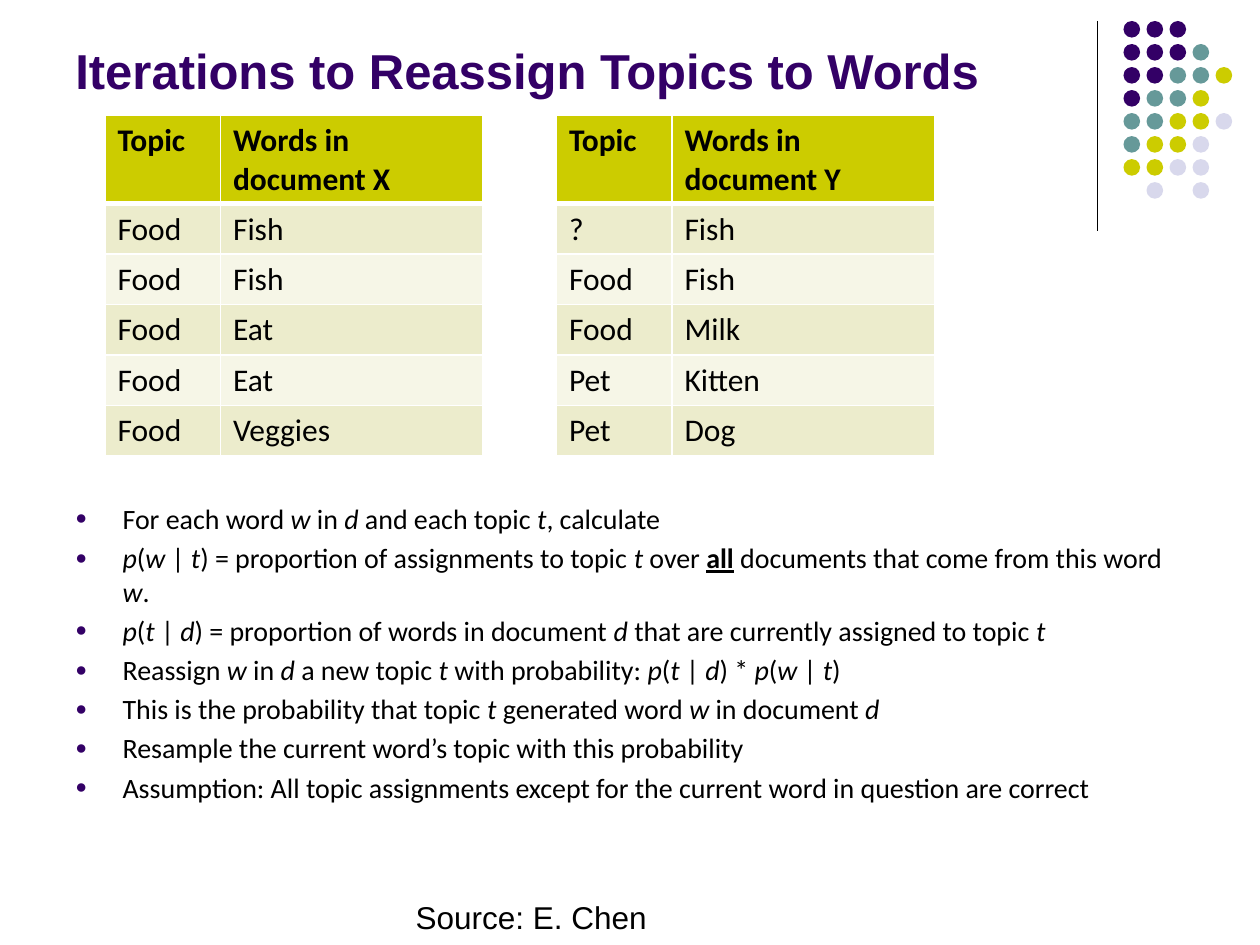
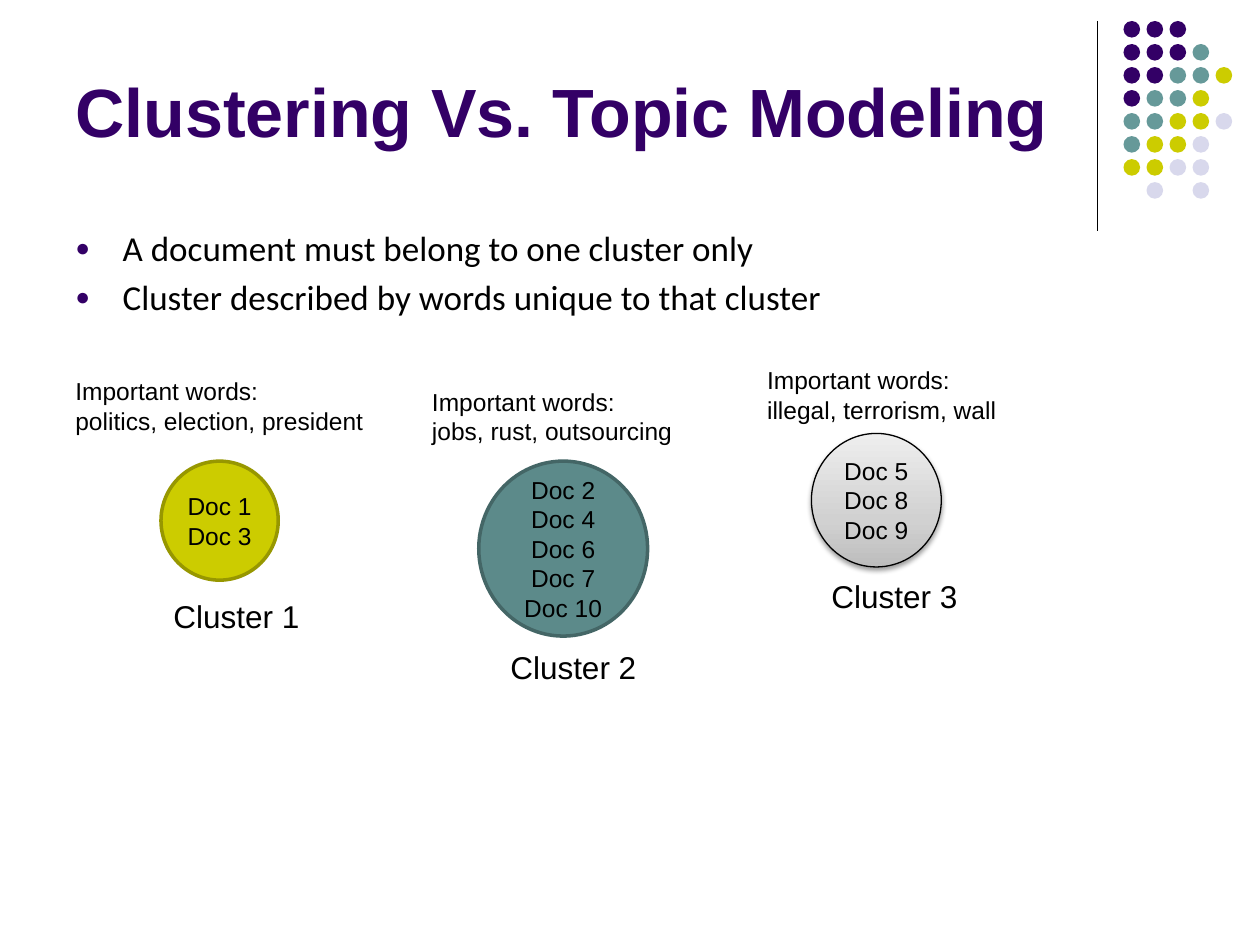
"""Build two slides: topic reassignment and clustering."""
import pptx
import pptx.dml.color
import pptx.enum.dml
import pptx.enum.shapes
import pptx.enum.text
import pptx.oxml
import pptx.oxml.ns
import pptx.util

Pt = pptx.util.Pt
RGB = pptx.dml.color.RGBColor
OVAL = pptx.enum.shapes.MSO_SHAPE.OVAL
ANCHOR = pptx.enum.text.MSO_ANCHOR
ALIGN = pptx.enum.text.PP_ALIGN

PURPLE = RGB(0x33, 0x00, 0x66)
TEAL = RGB(0x66, 0x99, 0x99)
OLIVE = RGB(0xCC, 0xCC, 0x00)
LILAC = RGB(0xD8, 0xD8, 0xEC)
BLACK = RGB(0x00, 0x00, 0x00)
WHITE = RGB(0xFF, 0xFF, 0xFF)
BAND_DARK = RGB(0xEC, 0xEC, 0xCC)
BAND_LIGHT = RGB(0xF6, 0xF6, 0xE7)
OLIVE_EDGE = RGB(0x97, 0x97, 0x00)
DEEP_TEAL = RGB(0x5C, 0x8A, 0x8A)
TEAL_EDGE = RGB(0x44, 0x66, 0x66)
GREY_STOPS = [(0, RGB(0xBD, 0xBD, 0xBD)), (35, RGB(0xD1, 0xD1, 0xD1)),
              (100, RGB(0xEE, 0xEE, 0xEE))]

HEAD_FONT, BODY_FONT = "Arial", "Calibri"
DOT_COLOURS = {"P": PURPLE, "T": TEAL, "O": OLIVE, "L": LILAC}
DOT_ROWS = ["PPP", "PPPT", "PPTTO", "PTTO", "TTOOL", "TOOL", "OOLL", " L L"]
DOT_SIZE, DOT_PITCH = 9.5, 13.15


def xml(markup):
    """Parse one DrawingML element written without its namespace."""
    ns = pptx.oxml.ns.nsdecls("a")
    head, rest = markup.split(">", 1)
    if head.endswith("/"):
        return pptx.oxml.parse_xml(f"{head[:-1]} {ns}/>{rest}")
    return pptx.oxml.parse_xml(f"{head} {ns}>{rest}")


class Deck:
    """Holds the presentation, its style and the current slide."""

    def __init__(self):
        """Start an empty 10 by 7.5 inch presentation."""
        self.prs = pptx.Presentation()
        self.prs.slide_width, self.prs.slide_height = Pt(720), Pt(540)
        self.s = None

    def slide(self, title, size, top):
        """Add a slide with the corner decoration and a title."""
        self.s = self.prs.slides.add_slide(self.prs.slide_layouts[6])
        self.decoration()
        tf = self.box(36, top, 594, 102.24)
        tf.vertical_anchor = ANCHOR.BOTTOM
        self.runs(tf.paragraphs[0], title, size, HEAD_FONT, PURPLE, True)

    def decoration(self):
        """Draw the vertical rule and the dot pattern."""
        kind = pptx.enum.shapes.MSO_CONNECTOR.STRAIGHT
        rule = self.s.shapes.add_connector(
            kind, Pt(627), Pt(12), Pt(627), Pt(132))
        rule.line.color.rgb, rule.line.width = BLACK, Pt(0.75)
        rule._element.spPr.append(xml("<a:effectLst/>"))
        dots = self.s.shapes.add_group_shape().shapes
        for row, letters in enumerate(DOT_ROWS):
            for col, letter in enumerate(letters):
                if letter in DOT_COLOURS:
                    dot = dots.add_shape(
                        OVAL, Pt(642 + col * DOT_PITCH),
                        Pt(12 + row * DOT_PITCH), Pt(DOT_SIZE), Pt(DOT_SIZE))
                    dot.shadow.inherit = False
                    dot.fill.solid()
                    dot.fill.fore_color.rgb = DOT_COLOURS[letter]
                    dot.line.fill.background()

    def runs(self, p, text, size, font, colour=BLACK, bold=False):
        """Add runs; _x_ is italic and ^x^ is bold and underlined."""
        for i, piece in enumerate(text.split("_")):
            for j, part in enumerate(piece.split("^")):
                if not part:
                    continue
                r = p.add_run()
                r.text = part
                r.font.size, r.font.name = Pt(size), font
                r.font.color.rgb = colour
                r.font.bold = bold or j % 2 == 1
                r.font.italic = i % 2 == 1
                r.font.underline = j % 2 == 1

    def lines(self, tf, texts, size, font):
        """Write one paragraph per text and return the paragraphs."""
        for i, text in enumerate(texts):
            p = tf.add_paragraph() if i else tf.paragraphs[0]
            self.runs(p, text, size, font)
        return tf.paragraphs

    def box(self, x, y, w, h):
        """Add a wrapping text box and return its text frame."""
        tf = self.s.shapes.add_textbox(Pt(x), Pt(y), Pt(w), Pt(h)).text_frame
        tf.word_wrap = True
        return tf

    def label(self, x, y, w, h, texts, size):
        """Add a text box that fits its unwrapped text."""
        tf = self.box(x, y, w, h)
        tf.word_wrap = False
        tf.auto_size = pptx.enum.text.MSO_AUTO_SIZE.SHAPE_TO_FIT_TEXT
        self.lines(tf, texts, size, HEAD_FONT)

    def bullets(self, top, texts, size):
        """Add the bulleted body text."""
        tf = self.box(36, top, 648, 347)
        for p in self.lines(tf, texts, size, BODY_FONT):
            pPr = p._p.get_or_add_pPr()
            pPr.set("marL", str(Pt(27)))
            pPr.set("indent", str(-Pt(27)))
            for markup in (
                    '<a:spcBef><a:spcPct val="20000"/></a:spcBef>',
                    f'<a:buClr><a:srgbClr val="{PURPLE}"/></a:buClr>',
                    '<a:buSzPct val="70000"/>',
                    f'<a:buFont typeface="{HEAD_FONT}"/>',
                    '<a:buChar char="●"/>'):
                pPr.append(xml(markup))

    def table(self, x, rows):
        """Add a two-column table with a header row and bands."""
        frame = self.s.shapes.add_table(
            len(rows), 2, Pt(x), Pt(66), Pt(216), Pt(194.4))
        tbl = frame.table
        tbl.horz_banding = False
        tbl.columns[0].width, tbl.columns[1].width = Pt(66), Pt(150)
        for i, texts in enumerate(rows):
            tbl.rows[i].height = Pt(24 if i else 42)
            fill = (BAND_DARK if i % 2 else BAND_LIGHT) if i else OLIVE
            for cell, text in zip(tbl.rows[i].cells, texts):
                cell.fill.solid()
                cell.fill.fore_color.rgb = fill
                self.runs(cell.text_frame.paragraphs[0], text, 18,
                          BODY_FONT, bold=i == 0)
                self.borders(cell, header=i == 0)
        frame.height = Pt(194.4)

    def borders(self, cell, header):
        """Give a cell white borders, thick below the header."""
        widths = {"L": 1, "R": 1, "T": 1, "B": 3} if header else {
            "L": 1, "R": 1, "B": 1}
        tcPr = cell._tc.get_or_add_tcPr()
        for i, (side, width) in enumerate(widths.items()):
            tcPr.insert(i, xml(
                f'<a:ln{side} w="{Pt(width)}"><a:solidFill>'
                f'<a:srgbClr val="{WHITE}"/></a:solidFill></a:ln{side}>'))

    def circle(self, x, y, w, h, texts, fill, edge, width):
        """Add a cluster circle; without a fill it is shaded grey."""
        sp = self.s.shapes.add_shape(OVAL, Pt(x), Pt(y), Pt(w), Pt(h))
        sp.shadow.inherit = False
        if fill is None:
            self.shade(sp)
        else:
            sp.fill.solid()
            sp.fill.fore_color.rgb = fill
        sp.line.color.rgb, sp.line.width = edge, Pt(width)
        tf = sp.text_frame
        tf.word_wrap = False
        tf.vertical_anchor = ANCHOR.MIDDLE
        tf.margin_left = tf.margin_right = Pt(5)
        tf.margin_top = tf.margin_bottom = Pt(3)
        for p in self.lines(tf, texts, 14, HEAD_FONT):
            p.alignment = ALIGN.CENTER

    def shade(self, sp):
        """Give a shape the grey gradient and a soft shadow."""
        sp.fill.gradient()
        sp.fill.gradient_angle = 90
        spPr = sp._element.spPr
        stops = spPr.find(".//" + pptx.oxml.ns.qn("a:gsLst"))
        for old in list(stops):
            stops.remove(old)
        for pos, colour in GREY_STOPS:
            stops.append(xml(f'<a:gs pos="{pos * 1000}">'
                             f'<a:srgbClr val="{colour}"/></a:gs>'))
        spPr.find(pptx.oxml.ns.qn("a:effectLst")).append(xml(
            f'<a:outerShdw blurRad="{Pt(3.1)}" dist="{Pt(1.6)}" '
            f'dir="5400000" rotWithShape="0"><a:srgbClr val="{BLACK}">'
            '<a:alpha val="38000"/></a:srgbClr></a:outerShdw>'))


deck = Deck()

deck.slide("Iterations to Reassign Topics to Words", 28, -41.76)
deck.bullets(283, [
    "For each word _w_ in _d_ and each topic _t_, calculate",
    "_p_(_w_ | _t_) = proportion of assignments to topic _t_ over ^all^ "
    "documents that come from this word _w_.",
    "_p_(_t_ | _d_) = proportion of words in document _d_ that are "
    "currently assigned to topic _t_",
    "Reassign _w_ in _d_ a new topic _t_ with probability: "
    "_p_(_t_ | _d_) * _p_(_w_ | _t_)",
    "This is the probability that topic _t_ generated word _w_ "
    "in document _d_",
    "Resample the current word’s topic with this probability",
    "Assumption: All topic assignments except for the current word "
    "in question are correct",
], 16)
deck.table(60, [
    ("Topic", "Words in document X"), ("Food", "Fish"), ("Food", "Fish"),
    ("Food", "Eat"), ("Food", "Eat"), ("Food", "Veggies")])
deck.table(318, [
    ("Topic", "Words in document Y"), ("?", "Fish"), ("Food", "Fish"),
    ("Food", "Milk"), ("Pet", "Kitten"), ("Pet", "Dog")])
deck.label(230.4, 509.76, 147.6, 29, ["Source: E. Chen"], 18)

deck.slide("Clustering Vs. Topic Modeling", 39, -12.24)
deck.bullets(126, [
    "A document must belong to one cluster only",
    "Cluster described by words unique to that cluster"], 20)
# Each cluster: circle box, documents, fill, edge, edge width,
# box of its words, the words, corner of its name.
clusters = [
    ((92, 263.5, 67, 68), (1, 3), OLIVE, OLIVE_EDGE, 2,
     (36, 211.5, 180, 41), "politics, election, president", (92, 337.5)),
    ((273.6, 263.5, 96.5, 100), (2, 4, 6, 7, 10), DEEP_TEAL, TEAL_EDGE, 2,
     (239.75, 217.5, 152.6, 41), "jobs, rust, outsourcing", (284.5, 367)),
    ((463.7, 247.7, 74.2, 76.3), (5, 8, 9), None, BLACK, 0.75,
     (431.3, 205.3, 146.2, 41), "illegal, terrorism, wall", (468, 326)),
]
for n, (oval, docs, fill, edge, width, area, words, name) in enumerate(
        clusters, 1):
    deck.circle(*oval, [f"Doc {d}" for d in docs], fill, edge, width)
    deck.label(*area, ["Important words:", words], 14)
    deck.label(*name, 87, 29, [f"Cluster {n}"], 18)

deck.prs.save("out.pptx")
